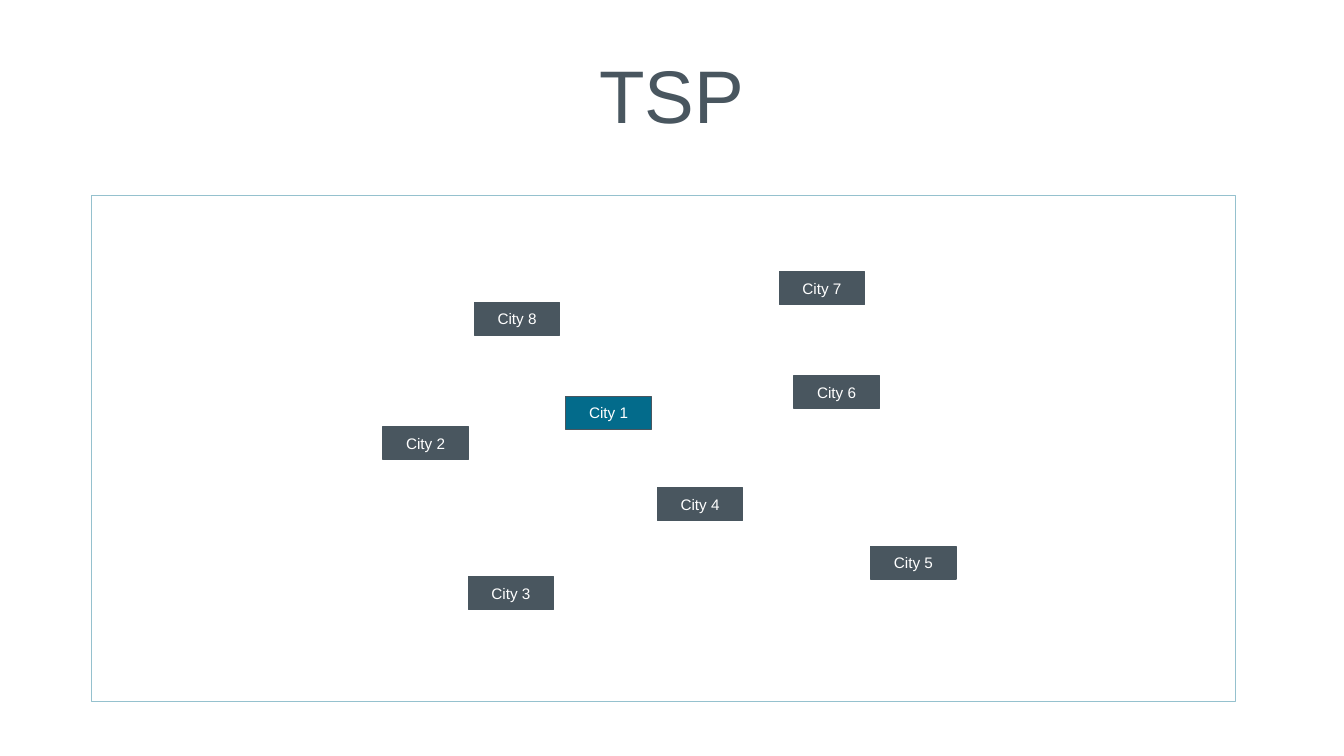
from pptx import Presentation
from pptx.dml.color import RGBColor
from pptx.enum.shapes import MSO_SHAPE
from pptx.enum.text import MSO_ANCHOR, MSO_AUTO_SIZE, PP_ALIGN
from pptx.util import Pt

SLATE = RGBColor(0x49, 0x56, 0x5F)
TEAL = RGBColor(0x03, 0x6B, 0x8B)
PALE_TEAL = RGBColor(0x95, 0xC1, 0xCE)
WHITE = RGBColor(0xFF, 0xFF, 0xFF)

SLIDE_SIZE = (793.44, 446.4)
TITLE_BOX = (39.6, 18, 714.24, 74.88)
MAP_BOX = (54, 115.2, 675.36, 298.8)
CITY_SIZE = (50.4, 19.44)
START_CITY = 1
# City number: left and top inside the map
CITIES = {
    1: (280.08, 118.8),
    2: (172.08, 136.8),
    3: (222.48, 225.36),
    4: (334.08, 172.8),
    5: (460.08, 207.36),
    6: (414.72, 106.56),
    7: (406.08, 45.36),
    8: (226.08, 63.36),
}


def write_centred(frame, text, size, color, margins, wrap):
    formats = {
        "text": text,
        "word_wrap": wrap,
        "auto_size": MSO_AUTO_SIZE.NONE,
        "vertical_anchor": MSO_ANCHOR.MIDDLE,
        "margin_left": Pt(margins[0]),
        "margin_right": Pt(margins[0]),
        "margin_top": Pt(margins[1]),
        "margin_bottom": Pt(margins[1]),
    }
    for attribute, value in formats.items():
        setattr(frame, attribute, value)
    paragraph = frame.paragraphs[0]
    paragraph.alignment = PP_ALIGN.CENTER
    font = paragraph.runs[0].font
    font.name, font.size = "Arial", Pt(size)
    font.color.rgb = color


def add_box(slide, box, line_color, line_width, fill_color=None):
    rectangle = slide.shapes.add_shape(MSO_SHAPE.RECTANGLE, *map(Pt, box))
    rectangle.shadow.inherit = False
    if fill_color is None:
        rectangle.fill.background()
    else:
        rectangle.fill.solid()
        rectangle.fill.fore_color.rgb = fill_color
    rectangle.line.color.rgb = line_color
    rectangle.line.width = Pt(line_width)
    return rectangle


def place_title(slide, box, text):
    title = slide.shapes.title
    for side, length in zip(("left", "top", "width", "height"), box):
        setattr(title, side, Pt(length))
    write_centred(title.text_frame, text, 44, SLATE, (0, 0), True)


def draw_city_map(slide, box):
    add_box(slide, box, PALE_TEAL, 0.5)
    map_left, map_top = box[:2]
    for number, (left, top) in CITIES.items():
        fill_color = TEAL if number == START_CITY else SLATE
        city_box = (map_left + left, map_top + top, *CITY_SIZE)
        city = add_box(slide, city_box, SLATE, 0, fill_color)
        write_centred(city.text_frame, f"City {number}", 9, WHITE, (7.2, 3.6), False)


def main():
    deck = Presentation()
    deck.slide_width, deck.slide_height = map(Pt, SLIDE_SIZE)
    slide = deck.slides.add_slide(deck.slide_layouts.get_by_name("Title Only"))
    place_title(slide, TITLE_BOX, "TSP")
    draw_city_map(slide, MAP_BOX)
    deck.save("out.pptx")


if __name__ == "__main__":
    main()
